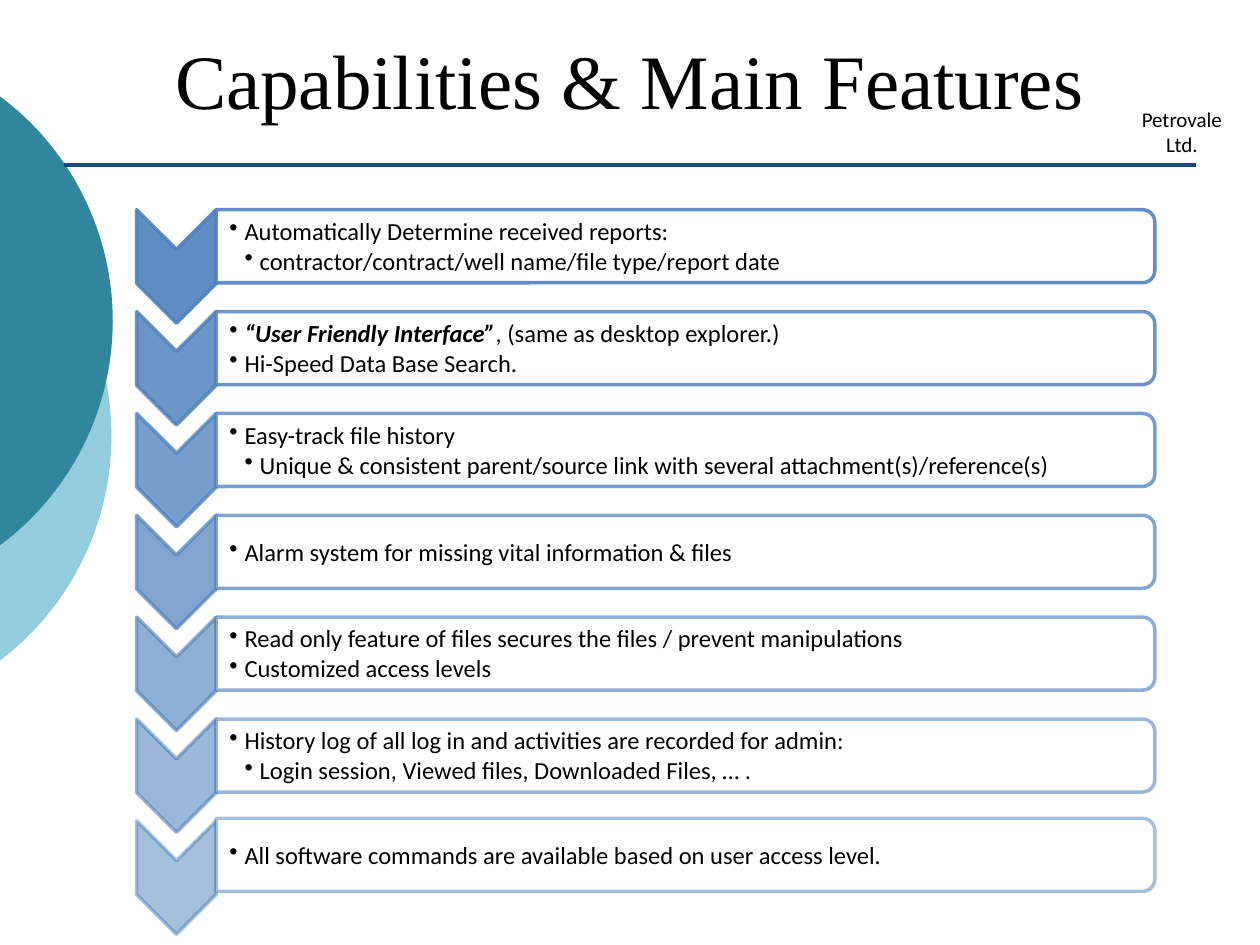
import math
from dataclasses import dataclass

import pptx
import pptx.dml.color
import pptx.enum.shapes
import pptx.enum.text
import pptx.oxml.ns
import pptx.util
from lxml import etree

SHAPE = pptx.enum.shapes.MSO_SHAPE
ALIGN = pptx.enum.text.PP_ALIGN
MIDDLE = pptx.enum.text.MSO_ANCHOR.MIDDLE
Inches, Pt, qn = pptx.util.Inches, pptx.util.Pt, pptx.oxml.ns.qn


@dataclass(frozen=True)
class Theme:
    """Colours, fonts and type sizes."""
    pale: str = "93CDDD"
    teal: str = "31859C"
    navy: str = "1F497D"
    blue: str = "4F81BD"
    white: str = "FFFFFF"
    ink: str = "000000"
    serif: str = "Times New Roman"
    sans: str = "Calibri"
    title: int = 44
    label: int = 12
    body: int = 14
    rule: float = 2.5
    edge: int = 2


@dataclass(frozen=True)
class Box:
    """A region in inches."""
    x: float
    y: float
    w: float
    h: float

    def cut(self, x, y, w, h):
        """Inner region, in percent of this one."""
        return Box(self.x + self.w * x / 100, self.y + self.h * y / 100,
                   self.w * w / 100, self.h * h / 100)

    def emu(self):
        return [Inches(v) for v in (self.x, self.y, self.w, self.h)]

    def turned(self):
        """Frame that fills this region after a quarter turn."""
        return Box(self.x + (self.w - self.h) / 2,
                   self.y + (self.h - self.w) / 2, self.h, self.w)


THEME = Theme()
INDENT = 0.12
# Each row holds lines of (level, bold lead, text)
ROWS = [
    [(1, "", "Automatically Determine received reports:"),
     (2, "", "contractor/contract/well name/file type/report date")],
    [(1, "“User Friendly Interface”", ", (same as desktop explorer.)"),
     (1, "", "Hi-Speed Data Base Search.")],
    [(1, "", "Easy-track file history"),
     (2, "", "Unique & consistent parent/source link with several "
             "attachment(s)/reference(s)")],
    [(1, "", "Alarm system for missing vital information & files")],
    [(1, "", "Read only feature of files secures the files / "
             "prevent manipulations"),
     (1, "", "Customized access levels")],
    [(1, "", "History log of all log in and activities are recorded "
             "for admin:"),
     (2, "", "Login session, Viewed files, Downloaded Files, … .")],
    [(1, "", "All software commands are available based on "
             "user access level.")],
]


def rgb(code):
    return pptx.dml.color.RGBColor.from_string(code)


def apply(item, **values):
    for name, value in values.items():
        setattr(item, name, value)


def style(font, face, size):
    apply(font, name=face, size=Pt(size))
    font.color.rgb = rgb(THEME.ink)


def frame(slide, box, wrap=True, pad=(0, 0, 0, 0)):
    text = slide.shapes.add_textbox(*box.emu()).text_frame
    left, top, right, base = [Inches(v) for v in pad]
    apply(text, word_wrap=wrap, vertical_anchor=MIDDLE, margin_left=left,
          margin_top=top, margin_right=right, margin_bottom=base)
    return text


def label(slide, box, words, face, size, wrap=True):
    para = frame(slide, box, wrap).paragraphs[0]
    apply(para, text=words, alignment=ALIGN.CENTER)
    style(para.font, face, size)


def disk(slide, box, color):
    """Round segment whose chord is the left side of the box."""
    half = box.h / 2
    radius = (half ** 2 + box.w ** 2) / (2 * box.w)
    mid_x, mid_y = box.x + box.w - radius, box.y + half
    sweep = math.asin(half / radius)
    steps = 60
    points = []
    for i in range(steps + 1):
        angle = sweep * (2 * i / steps - 1)
        points.append((Inches(mid_x + radius * math.cos(angle)),
                       Inches(mid_y + radius * math.sin(angle))))
    pen = slide.shapes.build_freeform(*points[0])
    pen.add_line_segments(points[1:], close=True)
    shape = pen.convert_to_shape()
    shape.shadow.inherit = False
    shape.fill.solid()
    shape.fill.fore_color.rgb = rgb(color)
    shape.line.fill.background()


def rule(slide, box):
    x, y, w, h = box.emu()
    line = slide.shapes.add_connector(
        pptx.enum.shapes.MSO_CONNECTOR.STRAIGHT, x, y, x + w, y + h)
    line.line.color.rgb = rgb(THEME.navy)
    line.line.width = Pt(THEME.rule)
    etree.SubElement(line.element.spPr, qn("a:effectLst"))


def block(slide, kind, box, fill, alphas):
    """Quarter-turned shape; alphas are the percents of fill and line."""
    shape = slide.shapes.add_shape(kind, *box.turned().emu())
    shape.rotation = 90
    shape.shadow.inherit = False
    shape.fill.solid()
    shape.fill.fore_color.rgb = rgb(fill)
    shape.line.color.rgb = rgb(THEME.blue)
    shape.line.width = Pt(THEME.edge)
    colors = list(shape.element.spPr.iter(qn("a:srgbClr")))
    for color, alpha in zip(colors, alphas):
        etree.SubElement(color, qn("a:alpha"), val=str(round(alpha * 1000)))


def bullet(para, level, lead, words):
    props = para._p.get_or_add_pPr()
    props.set("marL", str(Inches(INDENT * level)))
    props.set("indent", str(-Inches(INDENT)))
    etree.SubElement(props, qn("a:buChar"), char="•")
    apply(para, level=level, line_spacing=0.9, space_after=Pt(2))
    style(para.font, THEME.sans, THEME.body)
    for words, strong in ((lead, True), (words, False)):
        if words:
            run = para.add_run()
            run.text = words
            style(run.font, THEME.sans, THEME.body)
            apply(run.font, bold=strong, italic=strong)


def row(slide, box, lines, alpha, lift):
    """Chevron on the left, outlined bar with bullets on the right."""
    block(slide, SHAPE.CHEVRON, box.cut(0, 0, 7.8, 100),
          THEME.blue, (alpha, alpha))
    block(slide, SHAPE.ROUND_2_SAME_RECTANGLE,
          box.cut(7.8, -lift, 92.2, 64.4), THEME.white, (90, alpha))
    text = frame(slide, box.cut(7.75, 3.9 - lift, 91.8, 58.9),
                 pad=(0.11, 0.01, 0.01, 0.01))
    for i, line in enumerate(lines):
        para = text.add_paragraph() if i else text.paragraphs[0]
        bullet(para, *line)


def stack(slide, box, rows):
    """Overlapping rows that fade towards the bottom."""
    last, tall = len(rows) - 1, 15.65
    for i, lines in enumerate(rows):
        place = box.cut(0, i * (100 - tall) / last, 100, tall)
        row(slide, place, lines, 90 - 40 * i / last, 2.2 if i == last else 0)


def main():
    deck = pptx.Presentation()
    page = Box(0, 0, 10, 7.5)
    deck.slide_width, deck.slide_height = Inches(page.w), Inches(page.h)
    slide = deck.slides.add_slide(deck.slide_layouts[6])
    # Backdrop
    disk(slide, page.cut(0, 22.4, 8.85, 47.5), THEME.pale)
    disk(slide, page.cut(0, 10.2, 8.95, 47.5), THEME.teal)
    rule(slide, page.cut(5.1, 17.47, 89.8, 0))
    # Heading
    label(slide, page.cut(89.2, 12.3, 9.2, 3.3), "Petrovale Ltd.",
          THEME.sans, THEME.label, wrap=False)
    label(slide, page.cut(5, 0, 90, 16.67), "Capabilities & Main Features",
          THEME.serif, THEME.title)
    # Features
    stack(slide, page.cut(10.85, 22.2, 80.8, 76.67), ROWS)
    deck.save("out.pptx")


if __name__ == "__main__":
    main()
